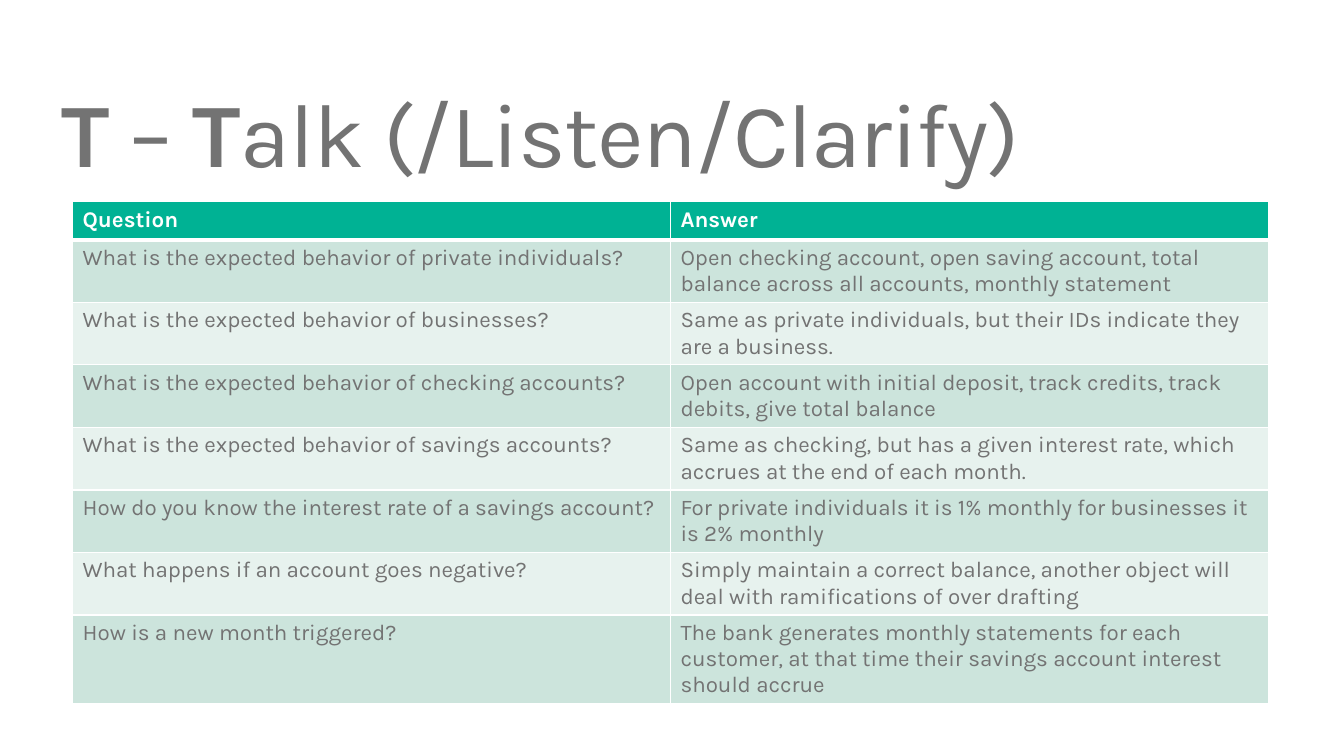
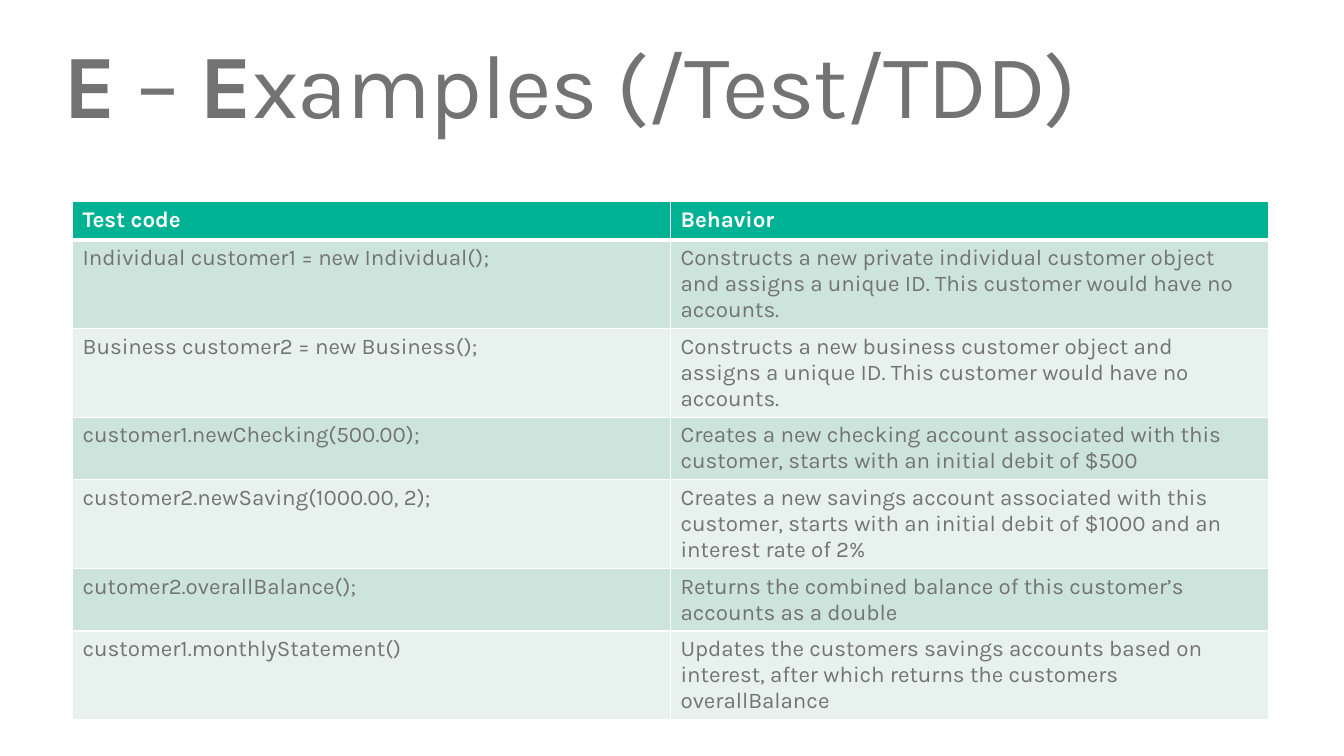
from pptx import Presentation
from pptx.dml.color import RGBColor
from pptx.enum.text import MSO_ANCHOR, MSO_AUTO_SIZE, PP_ALIGN
from pptx.oxml.ns import qn
from pptx.util import Inches, Pt
from lxml import etree

LEFT = PP_ALIGN.LEFT
MIDDLE = MSO_ANCHOR.MIDDLE
NO_FIT = MSO_AUTO_SIZE.NONE

FONT = "Karla"
COLORS = {
    "text": "737373",
    "white": "FFFFFF",
    "header": "00B294",
    "band_dark": "CCE4DC",
    "band_light": "E7F2EE",
}
TITLE_LAYOUT = 5
TITLE_SIZE = 64.7
CELL_SIZE = 16
COL_WIDTH = 5.93
HEADER_HEIGHT = 0.38
ROW_HEIGHT = 0.41

QUESTIONS = [
    ("Question", "Answer"),
    ("What is the expected behavior of private individuals?",
     "Open checking account, open saving account, total balance across all "
     "accounts, monthly statement"),
    ("What is the expected behavior of businesses?",
     "Same as private individuals, but their IDs indicate they are a business."),
    ("What is the expected behavior of checking accounts?",
     "Open account with initial deposit, track credits, track debits, "
     "give total balance"),
    ("What is the expected behavior of savings accounts?",
     "Same as checking, but has a given interest rate, which accrues at the "
     "end of each month."),
    ("How do you know the interest rate of a savings account?",
     "For private individuals it is 1% monthly for businesses it is 2% monthly"),
    ("What happens if an account goes negative?",
     "Simply maintain a correct balance, another object will deal with "
     "ramifications of over drafting"),
    ("How is a new month triggered?",
     "The bank generates monthly statements for each customer, at that time "
     "their savings account interest should accrue"),
]
EXAMPLES = [
    ("Test code", "Behavior"),
    ("Individual customer1 = new Individual();",
     "Constructs a new private individual customer object and assigns a "
     "unique ID. This customer would have no accounts."),
    ("Business customer2 = new Business();",
     "Constructs a new business customer object and assigns a unique ID. "
     "This customer would have no accounts."),
    ("customer1.newChecking(500.00);",
     "Creates a new checking account associated with this customer, starts "
     "with an initial debit of $500"),
    ("customer2.newSaving(1000.00, 2);",
     "Creates a new savings account associated with this customer, starts "
     "with an initial debit of $1000 and an interest rate of 2%"),
    ("cutomer2.overallBalance();",
     "Returns the combined balance of this customer’s accounts as a double"),
    ("customer1.monthlyStatement()",
     "Updates the customers savings accounts based on interest, after which "
     "returns the customers overallBalance"),
]


def rgb(name):
    return RGBColor.from_string(COLORS[name])


def add_run(p, text, size=CELL_SIZE, color="text", bold=False, spacing=None):
    r = p.add_run()
    r.text = text
    r.font.name = FONT
    r.font.size = Pt(size)
    r.font.bold = bold
    r.font.color.rgb = rgb(color)
    if spacing is not None:
        r._r.get_or_add_rPr().set("spc", str(int(spacing * 100)))


def add_title(s, initial, rest, left, top):
    """Title whose initial is shown in bold, alone and in its word."""
    sp = s.shapes.title
    sp.left, sp.top = Inches(left), Inches(top)
    sp.width, sp.height = Inches(11.53), Inches(1.25)
    tf = sp.text_frame
    tf.auto_size = NO_FIT
    tf.word_wrap = True
    tf.vertical_anchor = MIDDLE
    tf.margin_left = tf.margin_right = Inches(0.16)
    tf.margin_top = tf.margin_bottom = Inches(0.08)
    p = tf.paragraphs[0]
    p.alignment = LEFT
    p.line_spacing = 0.9
    for text in (initial, " – ", initial, rest):
        add_run(p, text, size=TITLE_SIZE, bold=text == initial, spacing=-1)


def set_borders(cell, **widths):
    """White cell borders; widths in points, by side, 1 unless given."""
    tcPr = cell._tc.get_or_add_tcPr()
    for side in "LRTB":
        ln = etree.SubElement(tcPr, qn(f"a:ln{side}"),
                              w=str(Pt(widths.get(side, 1))))
        fill = etree.SubElement(ln, qn("a:solidFill"))
        etree.SubElement(fill, qn("a:srgbClr"), val=COLORS["white"])


def add_grid(s, rows):
    """Two-column table with a header row and banded rows."""
    height = HEADER_HEIGHT + ROW_HEIGHT * (len(rows) - 1)
    frame = s.shapes.add_table(len(rows), 2, Inches(0.72), Inches(2),
                               Inches(2 * COL_WIDTH), Inches(height))
    table = frame.table
    for col in table.columns:
        col.width = Inches(COL_WIDTH)
    for i, texts in enumerate(rows):
        table.rows[i].height = Inches(ROW_HEIGHT if i else HEADER_HEIGHT)
        if i == 0:
            fill, color, widths = "header", "white", {"B": 3}
        else:
            fill = "band_dark" if i % 2 else "band_light"
            color, widths = "text", {"T": 3} if i == 1 else {}
        for j, text in enumerate(texts):
            cell = table.cell(i, j)
            set_borders(cell, **widths)
            cell.fill.solid()
            cell.fill.fore_color.rgb = rgb(fill)
            add_run(cell.text_frame.paragraphs[0], text, color=color,
                    bold=i == 0)


def add_table_slide(prs, initial, rest, left, top, rows):
    s = prs.slides.add_slide(prs.slide_layouts[TITLE_LAYOUT])
    add_title(s, initial, rest, left, top)
    add_grid(s, rows)


def main():
    prs = Presentation()
    prs.slide_width, prs.slide_height = Inches(13.33), Inches(7.5)

    # Questions to clarify
    add_table_slide(prs, "T", "alk (/Listen/Clarify)", 0.45, 0.75, QUESTIONS)
    # Example test code
    add_table_slide(prs, "E", "xamples (/Test/TDD)", 0.47, 0.26, EXAMPLES)

    prs.save("out.pptx")


if __name__ == "__main__":
    main()
